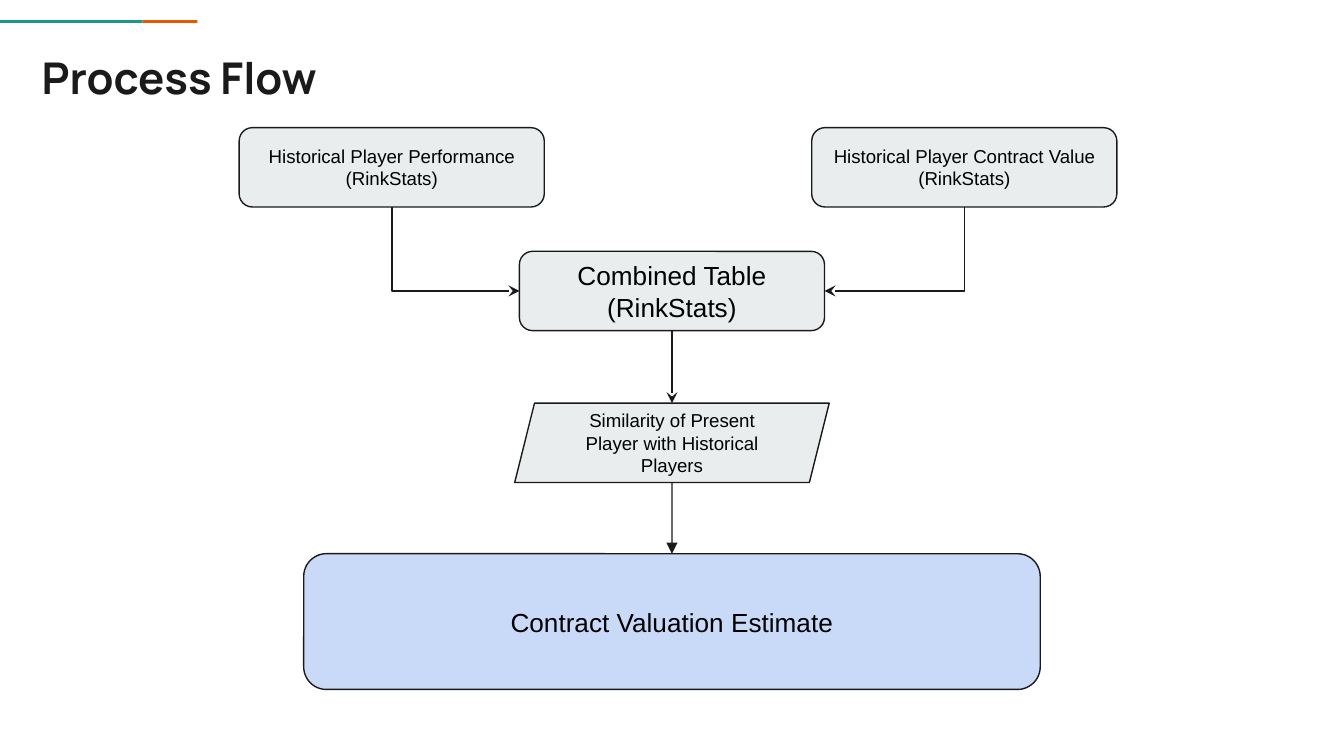
import pptx
import pptx.util
import pptx.dml.color
import pptx.enum.shapes
import pptx.enum.text
import pptx.oxml
import pptx.oxml.ns

Inches, Pt = pptx.util.Inches, pptx.util.Pt
SHAPE = pptx.enum.shapes.MSO_SHAPE
LINK = pptx.enum.shapes.MSO_CONNECTOR
ALIGN = pptx.enum.text.PP_ALIGN
ANCHOR = pptx.enum.text.MSO_ANCHOR
qn = pptx.oxml.ns.qn

COLORS = {"ink": "1A1A1A", "text": "000000", "step": "E9EDEE",
          "goal": "C9DAF8", "teal": "1A9988", "orange": "EB5600"}


def color(name):
    return pptx.dml.color.RGBColor.from_string(COLORS[name])


def place(shape, box):
    shape.left, shape.top, shape.width, shape.height = map(Inches, box)


def style(frame, font, size, tint, align, anchor, bold=False):
    frame.word_wrap = True
    frame.vertical_anchor = anchor
    frame.margin_left = frame.margin_right = Inches(0.1)
    frame.margin_top = frame.margin_bottom = Inches(0.1)
    for para in frame.paragraphs:
        para.alignment = align
        for run in para.runs:
            run.font.name, run.font.size = font, Pt(size)
            run.font.bold = bold
            run.font.color.rgb = color(tint)


def add_head(slide, box):
    title = slide.shapes.title
    place(title, box)
    title.text_frame.text = "Process Flow"
    title.text_frame.auto_size = pptx.enum.text.MSO_AUTO_SIZE.NONE
    style(title.text_frame, "Manrope", 23.4, "ink", ALIGN.LEFT, ANCHOR.TOP, True)


def add_strip(slide, box):
    """Two-colour accent line, split where the teal part ends."""
    left, top, width, height = box
    split = 1.06
    for tint, start, end in (("teal", 0, split), ("orange", split, width)):
        bar = slide.shapes.add_shape(SHAPE.RECTANGLE, 0, 0, 0, 0)
        place(bar, (left + start, top, end - start, height))
        bar.shadow.inherit = False
        bar.fill.solid()
        bar.fill.fore_color.rgb = color(tint)
        bar.line.fill.background()


def add_step(slide, box, text, size=10, kind=SHAPE.ROUNDED_RECTANGLE, tint="step"):
    step = slide.shapes.add_shape(kind, 0, 0, 0, 0)
    place(step, box)
    step.shadow.inherit = False
    step.fill.solid()
    step.fill.fore_color.rgb = color(tint)
    step.line.color.rgb = color("ink")
    step.line.width = Pt(0.75)
    step.text_frame.text = text
    style(step.text_frame, "Arial", size, "text", ALIGN.CENTER, ANCHOR.MIDDLE)
    return step


def add_link(slide, start, end, kind=LINK.STRAIGHT, head="stealth"):
    link = slide.shapes.add_connector(kind, *start, *end)
    link.line.color.rgb = color("ink")
    link.line.width = Pt(0.75)
    props = link._element.spPr
    line = props.find(qn("a:ln"))
    line.append(line.makeelement(qn("a:tailEnd"), {"type": head}))
    props.append(props.makeelement(qn("a:effectLst"), {}))
    return link


def foot(shape):
    return shape.left + shape.width // 2, shape.top + shape.height


def add_drop(slide, upper, lower, head):
    """Straight arrow from the foot of one step to the top of the next."""
    top = lower.left + lower.width // 2, lower.top
    return add_link(slide, foot(upper), top, head=head)


def add_bend(slide, source, target, side):
    """Arrow that goes down from source, then sideways into target."""
    x, y = foot(source)
    right = side == 3
    end_x = target.left + (target.width if right else 0)
    end_y = target.top + target.height // 2
    link = add_link(slide, (x, y), (end_x, end_y), LINK.ELBOW)
    link.begin_connect(source, 2)
    link.end_connect(target, side)
    # A one-corner elbow starts sideways, so it is turned to start downwards.
    wide, tall = abs(end_x - x), end_y - y
    props = link._element.spPr
    props.find(qn("a:prstGeom")).set("prst", "bentConnector2")
    frame = props.find(qn("a:xfrm"))
    frame.attrib.clear()
    frame.set("rot", str((90 if right else 270) * 60000))
    if not right:
        frame.set("flipH", "1")
    link.left = (x + end_x - tall) // 2
    link.top = (y + end_y - wide) // 2
    link.width, link.height = tall, wide


def add_flow(slide, box, mid):
    """Flow chart in the box, its main column centred on mid."""
    left, top, width, height = box
    wide, tall = 2.27, 0.59

    def row(span, down, high=tall):
        return mid - span / 2, top + down, span, high

    stats = add_step(slide, (left, top, wide, tall),
                     "Historical Player Performance\n(RinkStats)")
    deals = add_step(slide, (left + width - wide, top, wide, tall),
                     "Historical Player Contract Value\n(RinkStats)")
    table = add_step(slide, row(wide, 0.92), "Combined Table\n(RinkStats)", 14)
    match = add_step(slide, row(2.34, 2.05),
                     "Similarity of Present Player with Historical Players",
                     kind=SHAPE.PARALLELOGRAM)
    goal = add_step(slide, row(5.48, 3.17, height - 3.17),
                    "Contract Valuation Estimate", 14, tint="goal")
    add_bend(slide, stats, table, 1)
    add_bend(slide, deals, table, 3)
    add_drop(slide, table, match, "stealth").begin_connect(table, 2)
    add_drop(slide, match, goal, "triangle").end_connect(goal, 0)


def main():
    deck = pptx.Presentation()
    deck.slide_width = Inches(10)
    deck.slide_height = deck.slide_width * 9 // 16
    slide = deck.slides.add_slide(deck.slide_layouts.get_by_name("Title Only"))
    add_strip(slide, (0, 0.15, 1.47, 0.02))
    add_head(slide, (0.21, 0.28, 8.41, 0.59))
    add_flow(slide, (1.78, 0.95, 6.53, 4.18), 5)
    deck.save("out.pptx")


if __name__ == "__main__":
    main()
